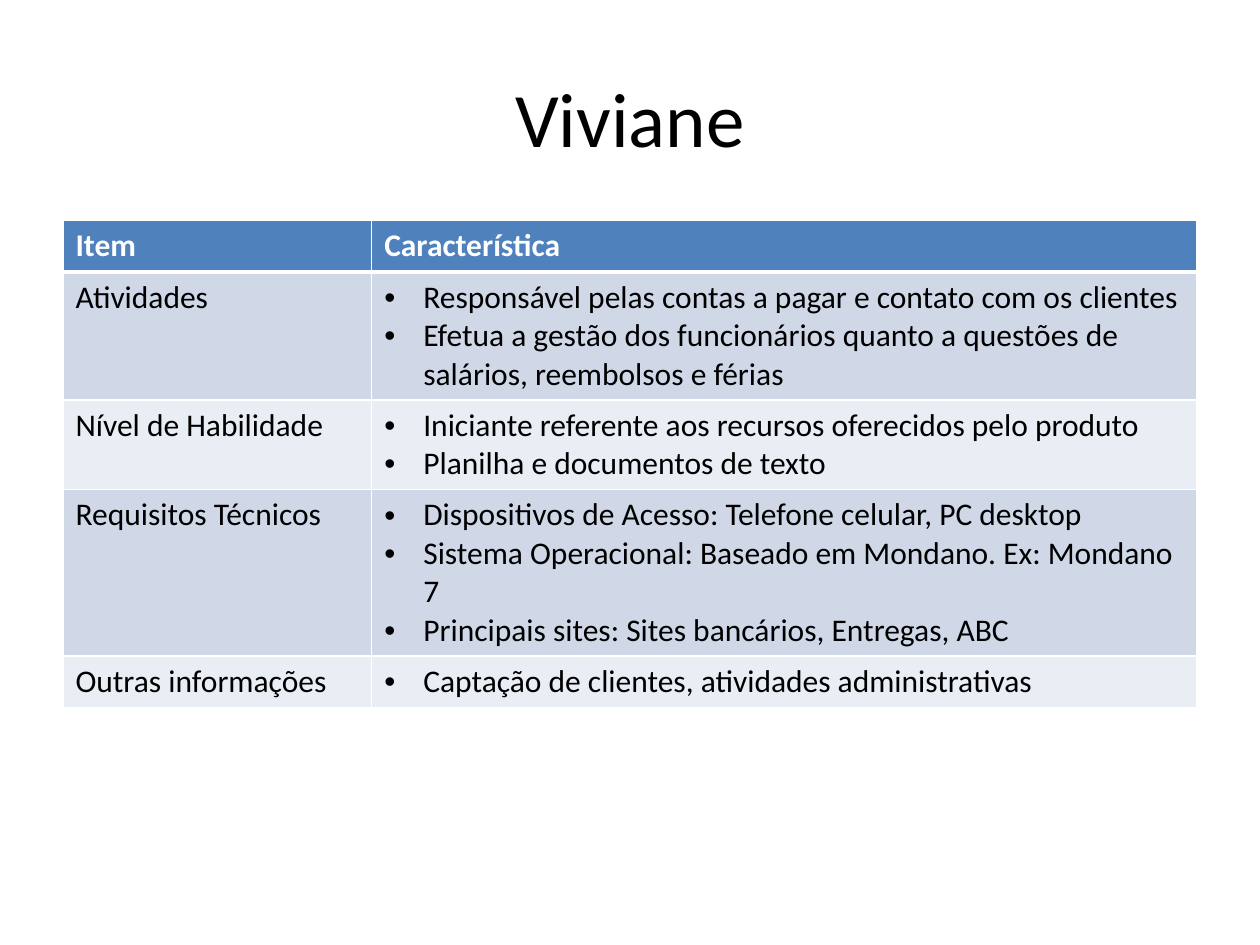
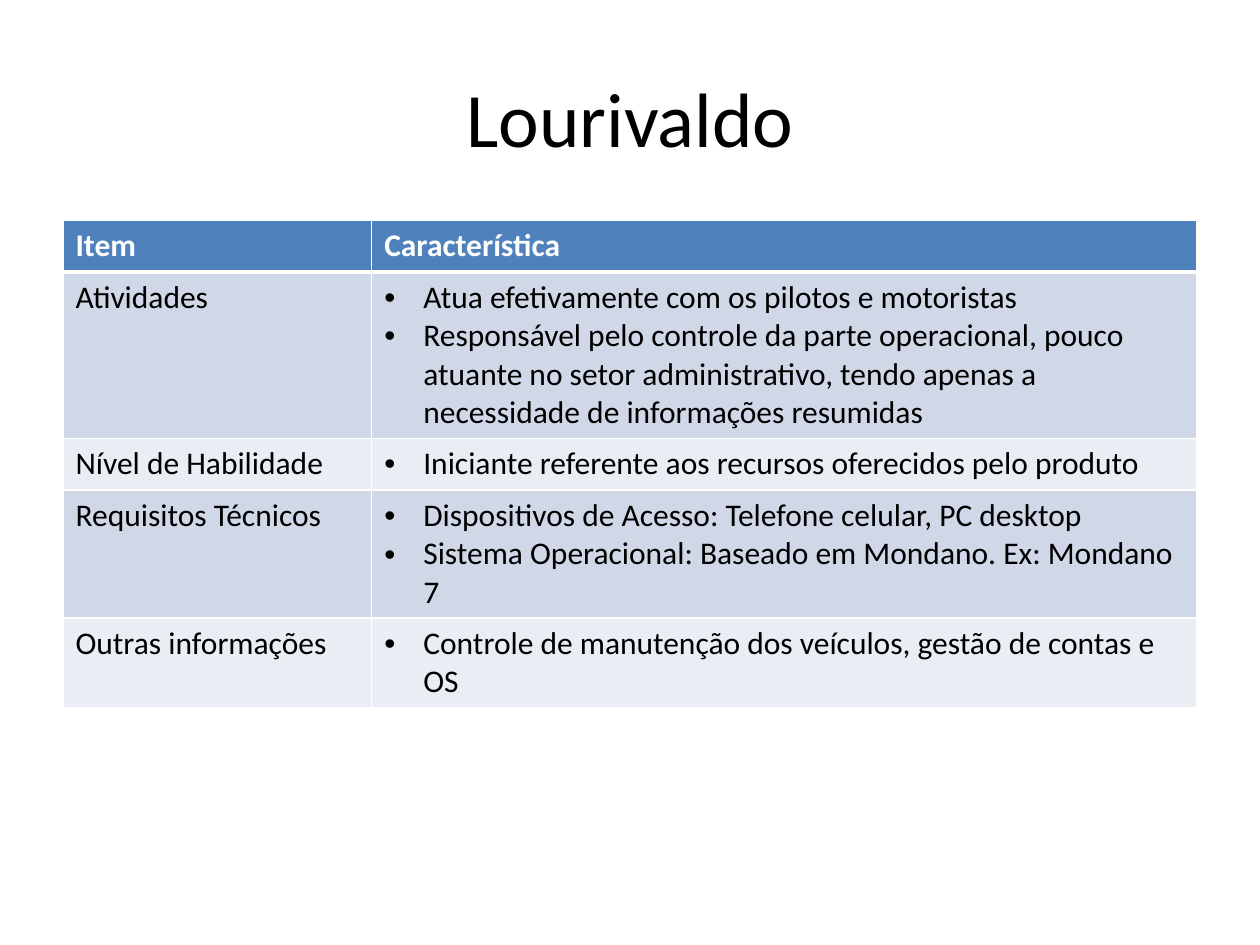
"""Build two persona slides, each with a title and a table of characteristics."""
from dataclasses import dataclass

from lxml.etree import SubElement
from pptx import Presentation
from pptx.dml.color import RGBColor as Color
from pptx.enum.text import MSO_ANCHOR as Anchor, PP_ALIGN as Align
from pptx.oxml.ns import qn
from pptx.util import Inches, Pt

WHITE = RGBColor = Color(0xFF, 0xFF, 0xFF)
BLACK = Color(0x00, 0x00, 0x00)
HEADER_BLUE = Color(0x4F, 0x81, 0xBD)
BANDS = (Color(0xD0, 0xD8, 0xE8), Color(0xE9, 0xED, 0xF4))

SLIDE_WIDTH, SLIDE_HEIGHT = Inches(10), Inches(7.5)
MARGIN = 0.05
CONTENT_WIDTH = 1 - 2 * MARGIN
TITLE_TOP, TITLE_HEIGHT = 0.04, 1 / 6
TABLE_TOP = 0.7 / 3
COLUMN_WIDTHS = (Inches(2.45), Inches(6.55))
ROW_HEIGHT = Inches(0.41)
BULLET_INDENT = Inches(0.31)
TITLE_ONLY = 5

TITLE_FONT = {"name": "Calibri", "size": Pt(44), "bold": False}
HEADER_FONT = {"name": "Calibri", "size": Pt(18), "bold": True}
BODY_FONT = HEADER_FONT | {"bold": False}

HEADINGS = ("Item", "Característica")
ITEMS = ("Atividades", "Nível de Habilidade", "Requisitos Técnicos", "Outras informações")
BEGINNER = "Iniciante referente aos recursos oferecidos pelo produto"
DEVICES = "Dispositivos de Acesso: Telefone celular, PC desktop"
SYSTEM = "Sistema Operacional: Baseado em Mondano. Ex: Mondano 7"


@dataclass(frozen=True)
class Persona:
    """A person and the bullet lists that answer each item."""
    name: str
    traits: tuple[tuple[str, ...], ...]


PERSONAS = (
    Persona("Viviane", (
        ("Responsável pelas contas a pagar e contato com os clientes",
         "Efetua a gestão dos funcionários quanto a questões de salários, reembolsos e férias"),
        (BEGINNER, "Planilha e documentos de texto"),
        (DEVICES, SYSTEM, "Principais sites: Sites bancários, Entregas, ABC"),
        ("Captação de clientes, atividades administrativas",),
    )),
    Persona("Lourivaldo", (
        ("Atua efetivamente com os pilotos e motoristas",
         "Responsável pelo controle da parte operacional, pouco atuante no setor "
         "administrativo, tendo apenas a necessidade de informações resumidas"),
        (BEGINNER,),
        (DEVICES, SYSTEM),
        ("Controle de manutenção dos veículos, gestão de contas e OS",),
    )),
)


def apply_format(target, values: dict) -> None:
    """Set every named value on the target."""
    for name, value in values.items():
        setattr(target, name, value)


def format_font(paragraph, values: dict, color: Color) -> None:
    """Format the runs of a paragraph."""
    for run in paragraph.runs:
        apply_format(run.font, values)
        run.font.color.rgb = color


def add_bullet(paragraph) -> None:
    """Give a paragraph a hanging round bullet."""
    properties = paragraph._p.get_or_add_pPr()
    properties.set("marL", str(BULLET_INDENT))
    properties.set("indent", str(-BULLET_INDENT))
    SubElement(properties, qn("a:buFont"), typeface="Arial")
    SubElement(properties, qn("a:buChar"), char="•")


def add_borders(cell, top: float, bottom: float) -> None:
    """Draw white borders, with the top and bottom widths in points."""
    properties = cell._tc.get_or_add_tcPr()
    for side, width in {"L": 1, "R": 1, "T": top, "B": bottom}.items():
        line = SubElement(properties, qn(f"a:ln{side}"), w=str(Pt(width)))
        fill = SubElement(line, qn("a:solidFill"))
        SubElement(fill, qn("a:srgbClr"), val=str(WHITE))


def fill_cell(cell, lines: tuple[str, ...], row: int, bulleted: bool) -> None:
    """Write and style one cell according to its row."""
    is_header = row == 0
    add_borders(cell, top=3 if row == 1 else 1, bottom=3 if is_header else 1)
    cell.fill.solid()
    cell.fill.fore_color.rgb = HEADER_BLUE if is_header else BANDS[(row - 1) % 2]
    cell.text_frame.text = "\n".join(lines)
    for paragraph in cell.text_frame.paragraphs:
        if bulleted:
            add_bullet(paragraph)
        format_font(paragraph, HEADER_FONT if is_header else BODY_FONT,
                    WHITE if is_header else BLACK)


def add_title(slide, text: str) -> None:
    """Place and format the title placeholder."""
    title = slide.shapes.title
    apply_format(title, {
        "left": int(MARGIN * SLIDE_WIDTH), "top": int(TITLE_TOP * SLIDE_HEIGHT),
        "width": int(CONTENT_WIDTH * SLIDE_WIDTH),
        "height": int(TITLE_HEIGHT * SLIDE_HEIGHT),
    })
    title.text_frame.text = text
    title.text_frame.vertical_anchor = Anchor.MIDDLE
    paragraph = title.text_frame.paragraphs[0]
    paragraph.alignment = Align.CENTER
    format_font(paragraph, TITLE_FONT, BLACK)


def add_trait_table(slide, persona: Persona) -> None:
    """Add the table of items and characteristics."""
    row_count = len(ITEMS) + 1
    table = slide.shapes.add_table(
        row_count, len(HEADINGS), int(MARGIN * SLIDE_WIDTH),
        int(TABLE_TOP * SLIDE_HEIGHT), int(CONTENT_WIDTH * SLIDE_WIDTH),
        ROW_HEIGHT * row_count).table
    for column, width in zip(table.columns, COLUMN_WIDTHS):
        column.width = width
    for column, heading in enumerate(HEADINGS):
        fill_cell(table.cell(0, column), (heading,), 0, bulleted=False)
    for row, (item, traits) in enumerate(zip(ITEMS, persona.traits), start=1):
        fill_cell(table.cell(row, 0), (item,), row, bulleted=False)
        fill_cell(table.cell(row, 1), traits, row, bulleted=True)


def main() -> None:
    """Build and save the presentation."""
    presentation = Presentation()
    apply_format(presentation, {"slide_width": SLIDE_WIDTH, "slide_height": SLIDE_HEIGHT})
    for persona in PERSONAS:
        slide = presentation.slides.add_slide(presentation.slide_layouts[TITLE_ONLY])
        add_title(slide, persona.name)
        add_trait_table(slide, persona)
    presentation.save("out.pptx")


main()
